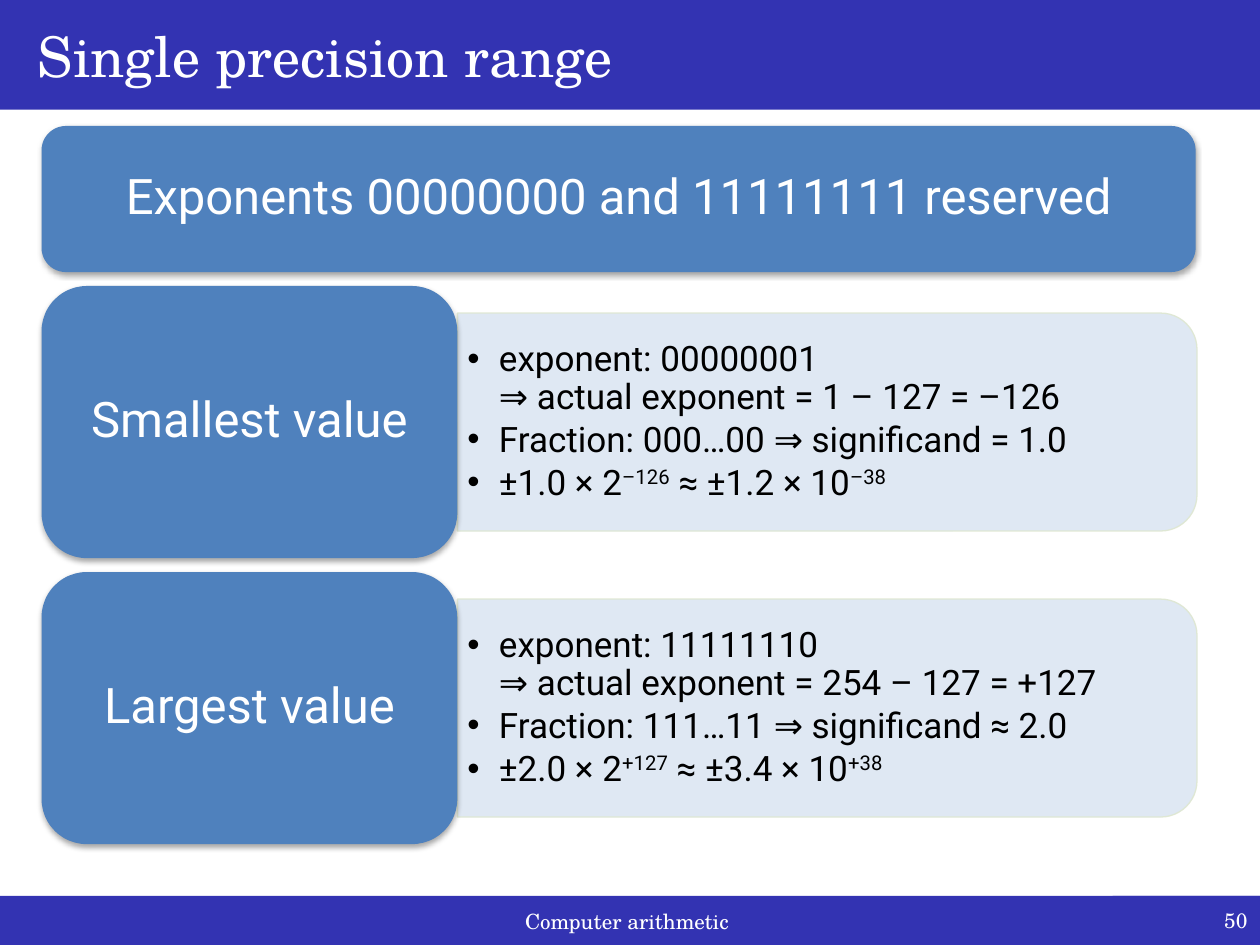
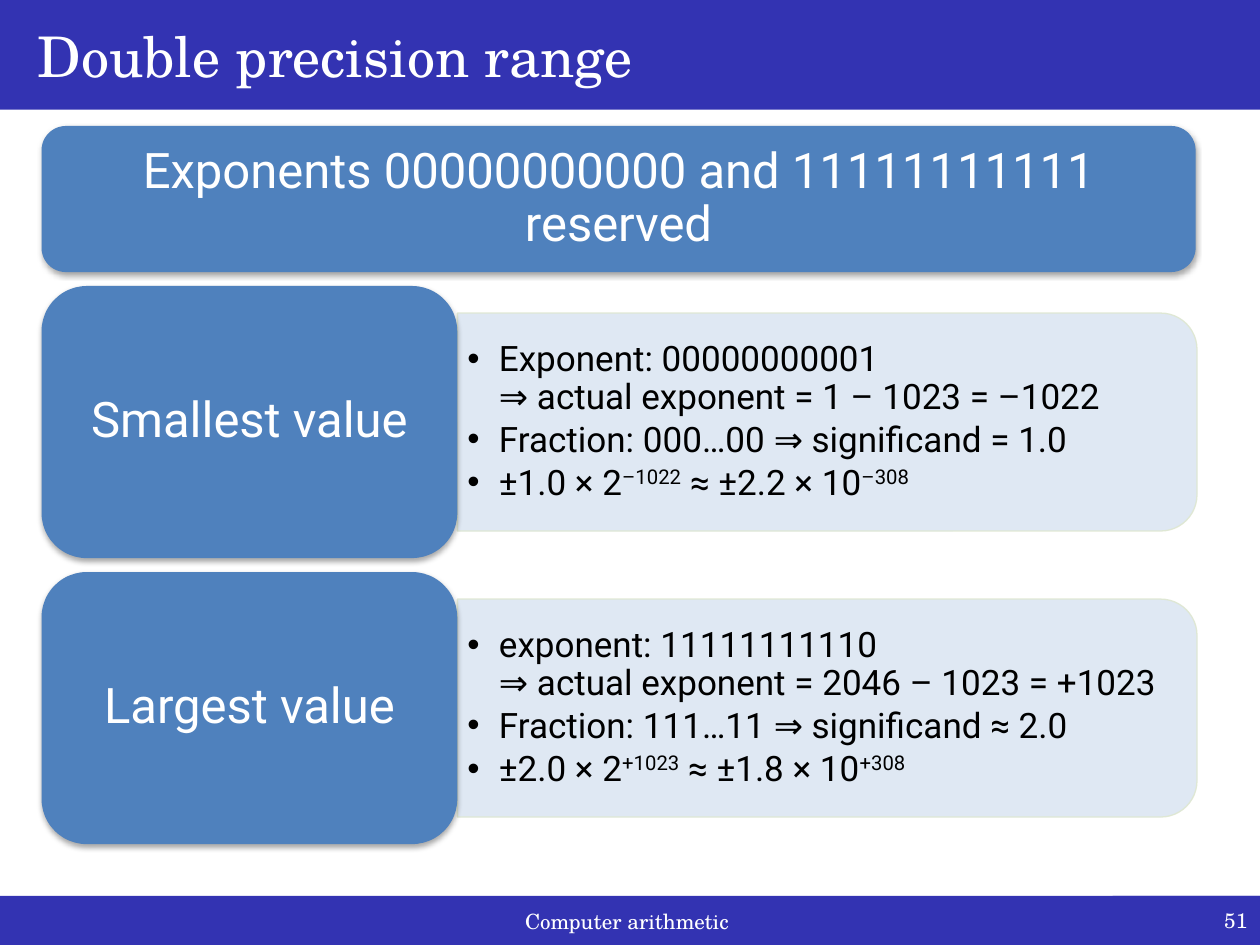
from lxml.etree import SubElement
from pptx import Presentation
from pptx.dml.color import RGBColor
from pptx.enum.shapes import MSO_SHAPE
from pptx.enum.text import MSO_ANCHOR, MSO_AUTO_SIZE, PP_ALIGN
from pptx.oxml import parse_xml
from pptx.oxml.ns import nsdecls, qn
from pptx.util import Inches, Pt

NAVY = RGBColor(0x33, 0x33, 0xB2)
BLUE = RGBColor(0x4F, 0x81, 0xBD)
PALE = RGBColor(0xDC, 0xE6, 0xF2)
EDGE = RGBColor(0xDE, 0xE7, 0xD1)
WHITE = RGBColor(0xFF, 0xFF, 0xFF)
BLACK = RGBColor(0, 0, 0)
SERIF, SANS = "TeX Gyre Schola", "Roboto"

# Grid in inches: a banner over two rows, each a label beside a panel
LEFT, TOP, GAP = 0.33, 1.0, 0.11
BANNER_W, BANNER_H = 9.16, 1.16
LABEL_W, ROW_H = 3.3, 2.16
PANEL_W, PANEL_H = 5.87, 1.73
LIST_W, LIST_H = 5.78, 1.56
FOOT_Y, FOOT_H = 7.11, 0.4
PANEL_X = LEFT + LABEL_W

SHADOW = (f'<a:effectLst {nsdecls("a")}><a:outerShdw blurRad="40000" dist="23000" '
          'dir="5400000" rotWithShape="0"><a:srgbClr val="000000">'
          '<a:alpha val="35000"/></a:srgbClr></a:outerShdw></a:effectLst>')

# Each ^ switches superscript on or off; each \n breaks the line
SLIDES = [
    ("Single precision range", "Exponents 00000000 and 11111111 reserved", [
        ("Smallest value", [
            "exponent: 00000001\n⇒ actual exponent = 1 – 127 = –126",
            "Fraction: 000…00 ⇒ significand = 1.0",
            "±1.0 × 2^–126^ ≈ ±1.2 × 10^–38"]),
        ("Largest value", [
            "exponent: 11111110\n⇒ actual exponent = 254 – 127 = +127",
            "Fraction: 111…11 ⇒ significand ≈ 2.0",
            "±2.0 × 2^+127^ ≈ ±3.4 × 10^+38"])]),
    ("Double precision range", "Exponents 00000000000 and 11111111111 reserved", [
        ("Smallest value", [
            "Exponent: 00000000001\n⇒ actual exponent = 1 – 1023 = –1022",
            "Fraction: 000…00 ⇒ significand = 1.0",
            "±1.0 × 2^–1022^ ≈ ±2.2 × 10^–308"]),
        ("Largest value", [
            "exponent: 11111111110\n⇒ actual exponent = 2046 – 1023 = +1023",
            "Fraction: 111…11 ⇒ significand ≈ 2.0",
            "±2.0 × 2^+1023^ ≈ ±1.8 × 10^+308"])]),
]


def write(para, text, size, font, color):
    """Add text run by run, reading the ^ and line break marks."""
    for i, part in enumerate(text.split("^")):
        for j, line in enumerate(part.split("\n")):
            if j:
                para.add_line_break()
            run = para.add_run()
            run.text = line
            run.font.size, run.font.name = Pt(size), font
            run.font.color.rgb = color
            if i % 2:
                run._r.get_or_add_rPr().set("baseline", "30000")


def block(slide, kind, box, fill, text="", size=12, font=SERIF, align=PP_ALIGN.CENTER):
    """Add a filled shape without outline, holding white text."""
    shape = slide.shapes.add_shape(kind, *map(Inches, box))
    shape.shadow.inherit = False
    shape.fill.solid()
    shape.fill.fore_color.rgb = fill
    shape.line.fill.background()
    if text:
        para = shape.text_frame.paragraphs[0]
        para.alignment = align
        write(para, text, size, font, WHITE)
    if fill == BLUE:
        shape.text_frame.margin_left = shape.text_frame.margin_right = Inches(0.12)
        para.line_spacing = 0.9
        props = shape.element.spPr
        props.replace(props.find(qn("a:effectLst")), parse_xml(SHADOW))
    return shape


deck = Presentation()
deck.slide_width, deck.slide_height = Inches(10), Inches(7.5)

for page, (name, note, rows) in enumerate(SLIDES, 50):
    slide = deck.slides.add_slide(deck.slide_layouts[3])
    block(slide, MSO_SHAPE.RECTANGLE, (0, FOOT_Y, 10, FOOT_H), NAVY, "Computer arithmetic ")
    block(slide, MSO_SHAPE.RECTANGLE, (8.83, FOOT_Y, 1.17, FOOT_H - 0.01), NAVY,
          str(page), align=PP_ALIGN.RIGHT)

    title, *lists = slide.placeholders
    title.left, title.top, title.width, title.height = map(Inches, (0, 0, 10, 0.87))
    title.fill.solid()
    title.fill.fore_color.rgb = NAVY
    title.text_frame.vertical_anchor = MSO_ANCHOR.MIDDLE
    title.text_frame.auto_size = MSO_AUTO_SIZE.NONE
    head = title.text_frame.paragraphs[0]
    head.alignment = PP_ALIGN.LEFT
    head._p.get_or_add_pPr().set("marL", str(Inches(0.2)))
    write(head, name, 32, SERIF, WHITE)

    block(slide, MSO_SHAPE.ROUNDED_RECTANGLE, (LEFT, TOP, BANNER_W, BANNER_H), BLUE,
          note, 28, SANS)

    for i, ((label, items), body) in enumerate(zip(rows, lists)):
        y = TOP + BANNER_H + GAP + i * (ROW_H + GAP)
        mid = y + ROW_H / 2

        # The panel is an upright tab turned a quarter to the right
        panel = block(slide, MSO_SHAPE.ROUND_2_SAME_RECTANGLE,
                      (PANEL_X + (PANEL_W - PANEL_H) / 2, mid - PANEL_W / 2,
                       PANEL_H, PANEL_W), PALE)
        panel.rotation = 90
        panel.line.color.rgb = EDGE
        panel.line.width = Pt(0.75)
        for tint in panel.element.spPr.iter(qn("a:srgbClr")):
            SubElement(tint, qn("a:alpha"), val="90000")

        # Lift the list above its panel
        slide.shapes.element.append(body.element)
        body.left, body.top = Inches(PANEL_X), Inches(mid - LIST_H / 2)
        body.width, body.height = Inches(LIST_W), Inches(LIST_H)
        frame = body.text_frame
        frame.auto_size = MSO_AUTO_SIZE.NONE
        frame.vertical_anchor = MSO_ANCHOR.MIDDLE
        frame.margin_left = frame.margin_right = Inches(0.08)
        frame.margin_top = frame.margin_bottom = Inches(0.04)
        for j, item in enumerate(items):
            para = frame.add_paragraph() if j else frame.paragraphs[0]
            para.level = 1
            para.line_spacing = 0.9
            para.space_before, para.space_after = Pt(0), Pt(3)
            props = para._p.get_or_add_pPr()
            props.set("marL", str(Inches(0.25)))
            props.set("indent", str(-Inches(0.25)))
            SubElement(props, qn("a:buChar"), char="•")
            write(para, item, 20, SANS, BLACK)

        block(slide, MSO_SHAPE.ROUNDED_RECTANGLE, (LEFT, y, LABEL_W, ROW_H), BLUE,
              label, 28, SANS)

deck.save("out.pptx")
